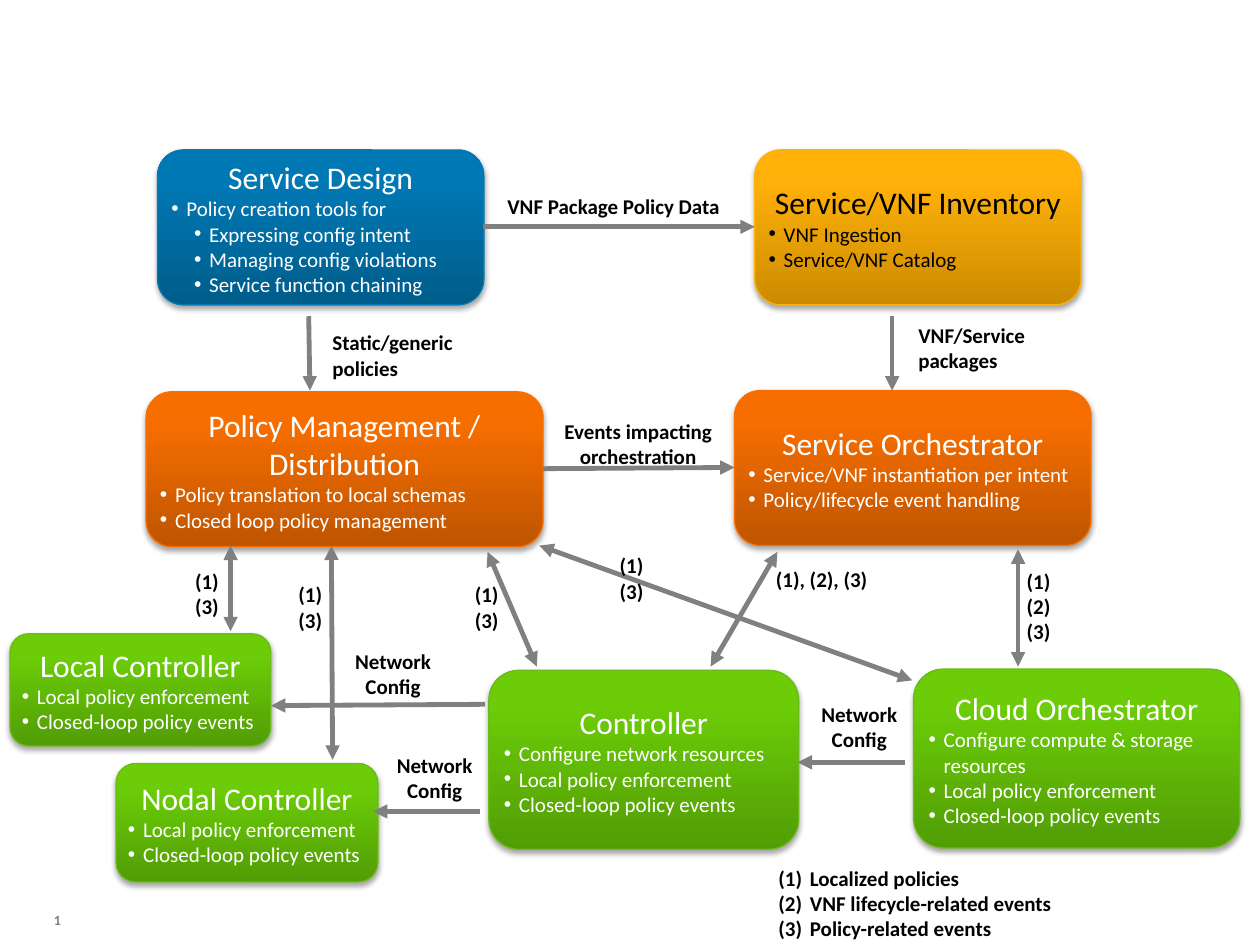
from lxml.etree import SubElement
from pptx import Presentation
from pptx.dml.color import RGBColor
from pptx.enum.shapes import MSO_CONNECTOR as CONN, MSO_SHAPE as SHAPE
from pptx.enum.text import MSO_ANCHOR as ANCHOR, PP_ALIGN as ALIGN
from pptx.oxml.ns import qn
from pptx.util import Pt

PX = 9144
FONT = "Calibri"
WHITE, BLACK, GRAY = "FFFFFF", "000000", "808080"

STYLES = {
    "blue": ("005D8B", "0078B4", "0279B4", WHITE),
    "amber": ("CB8B00", "FFB109", "FCB10E", BLACK),
    "orange": ("BE5500", "F76E00", "F96F00", WHITE),
    "green": ("529D06", "6BCC07", "6CBB1B", WHITE),
}

ENFORCEMENT = [(0, "Local policy enforcement"), (0, "Closed-loop policy events")]
BOXES = [
    ("Controller", "green", (388, 532, 246, 142),
     [(0, "Configure network resources")] + ENFORCEMENT),
    ("Cloud Orchestrator", "green", (725, 531, 259, 142),
     [(0, "Configure compute & storage resources")] + ENFORCEMENT),
    ("Policy Management / Distribution", "orange", (116, 311, 315, 123),
     [(0, "Policy translation to local schemas"), (0, "Closed loop policy management")]),
    ("Service Design", "blue", (125, 119, 259, 123),
     [(0, "Policy creation tools for"), (1, "Expressing config intent"),
      (1, "Managing config violations"), (1, "Service function chaining")]),
    ("Service/VNF Inventory", "amber", (599, 119, 259, 123),
     [(0, "VNF Ingestion"), (0, "Service/VNF Catalog")]),
    ("Service Orchestrator", "orange", (583, 310, 283, 123),
     [(0, "Service/VNF instantiation per intent"), (0, "Policy/lifecycle event handling")]),
    ("Nodal Controller", "green", (92, 606, 208, 94), ENFORCEMENT),
    ("Local Controller", "green", (8, 503, 207, 89), ENFORCEMENT),
]

ONE_WAY = [
    (381, 644, 296, 644), (431, 372, 583, 371), (385, 559, 215, 560),
    (718, 605, 633, 605), (245, 251, 246, 310), (383, 180, 599, 180),
    (708, 251, 708, 310),
]
TWO_WAY = [
    (183, 433, 183, 501), (387, 438, 426, 529), (263, 433, 264, 603),
    (617, 438, 564, 529), (808, 436, 808, 529), (428, 433, 724, 540),
]

LEFT, CENTER = ALIGN.LEFT, ALIGN.CENTER
LABELS = [
    ("Static/generic policies", (254, 257, 126, 50), LEFT),
    ("Events impacting orchestration", (431, 327, 151, 50), CENTER),
    ("Network Config", (302, 592, 86, 50), CENTER),
    ("Network Config", (267, 510, 90, 50), CENTER),
    ("Network Config", (639, 552, 86, 50), CENTER),
    ("VNF Package Policy Data", (386, 149, 202, 30), CENTER),
    ("VNF/Service packages", (719, 251, 126, 50), LEFT),
    ("(1)\n(3)", (145, 446, 45, 50), LEFT),
    ("(1)\n(3)", (227, 457, 45, 50), LEFT),
    ("(1)\n(3)", (367, 457, 45, 50), LEFT),
    ("(1)\n(3)", (482, 434, 45, 50), LEFT),
    ("(1), (2), (3)", (606, 445, 111, 30), LEFT),
    ("(1)\n(2)\n(3)", (805, 446, 45, 71), LEFT),
]
LEGEND = "Localized policies\nVNF lifecycle-related events\nPolicy-related events"


def rgb(color):
    return RGBColor.from_string(color)


def px(values):
    return [v * PX for v in values]


def style(p, size, color, bold=False, align=LEFT):
    p.alignment = align
    for r in p.runs:
        f = r.font
        f.name, f.size, f.bold = FONT, Pt(size), bold
        f.color.rgb = rgb(color)


def bullet(p, margin, hang, tag, **attrs):
    pPr = p._p.get_or_add_pPr()
    pPr.set("marL", str(margin * PX))
    pPr.set("indent", str(-hang * PX))
    if tag == "a:buChar":
        SubElement(pPr, qn("a:buFont"), typeface="Arial")
    SubElement(pPr, qn(tag), **attrs)


def add_shadow(s):
    s.shadow.inherit = False
    effects = s._element.spPr.find(qn("a:effectLst"))
    shadow = SubElement(effects, qn("a:outerShdw"), blurRad="40000", dist="23000",
                        dir="5400000", rotWithShape="0")
    color = SubElement(shadow, qn("a:srgbClr"), val=BLACK)
    SubElement(color, qn("a:alpha"), val="35000")


def add_box(sp, title, look, place, items):
    dark, light, edge, ink = STYLES[look]
    s = sp.add_shape(SHAPE.ROUNDED_RECTANGLE, *px(place))
    s.fill.gradient()
    s.fill.gradient_angle = 90
    for stop, position, color in zip(s.fill.gradient_stops, (0, 0.8), (dark, light)):
        stop.position = position
        stop.color.rgb = rgb(color)
    s.line.color.rgb = rgb(edge)
    s.line.width = Pt(0.75)
    add_shadow(s)
    tf = s.text_frame
    tf.word_wrap = True
    tf.vertical_anchor = ANCHOR.MIDDLE
    tf.margin_left = tf.margin_right = tf.margin_top = tf.margin_bottom = 5 * PX
    tf.text = title
    style(tf.paragraphs[0], 18, ink, align=CENTER)
    for level, text in items:
        p = tf.add_paragraph()
        p.text = text
        p.level = level
        bullet(p, 12 + 18 * level, 12, "a:buChar", char="•")
        style(p, 12, ink)


def add_arrow(sp, ends, both):
    c = sp.add_connector(CONN.STRAIGHT, *px(ends))
    c.line.color.rgb = rgb(GRAY)
    c.line.width = Pt(2.75)
    ln = c.line._get_or_add_ln()
    for tag in ("a:headEnd", "a:tailEnd") if both else ("a:tailEnd",):
        SubElement(ln, qn(tag), type="triangle")
    SubElement(c._element.spPr, qn("a:effectLst"))


def add_label(sp, text, place, align=LEFT, size=12, color=BLACK):
    tf = sp.add_textbox(*px(place)).text_frame
    tf.word_wrap = True
    tf.text = text
    for p in tf.paragraphs:
        style(p, size, color, True, align)
    return tf


def main():
    prs = Presentation()
    prs.slide_width, prs.slide_height = px((1000, 750))
    sp = prs.slides.add_slide(prs.slide_layouts[6]).shapes
    for box in BOXES:
        add_box(sp, *box)
    for ends in ONE_WAY:
        add_arrow(sp, ends, False)
    for ends in TWO_WAY:
        add_arrow(sp, ends, True)
    for label in LABELS:
        add_label(sp, *label)
    for p in add_label(sp, LEGEND, (608, 682, 250, 71)).paragraphs:
        bullet(p, 25, 25, "a:buAutoNum", type="arabicParenBoth")
    number = add_label(sp, "1", (33, 710, 37, 40), size=8, color=GRAY)
    number.vertical_anchor = ANCHOR.MIDDLE
    prs.save("out.pptx")


if __name__ == "__main__":
    main()
